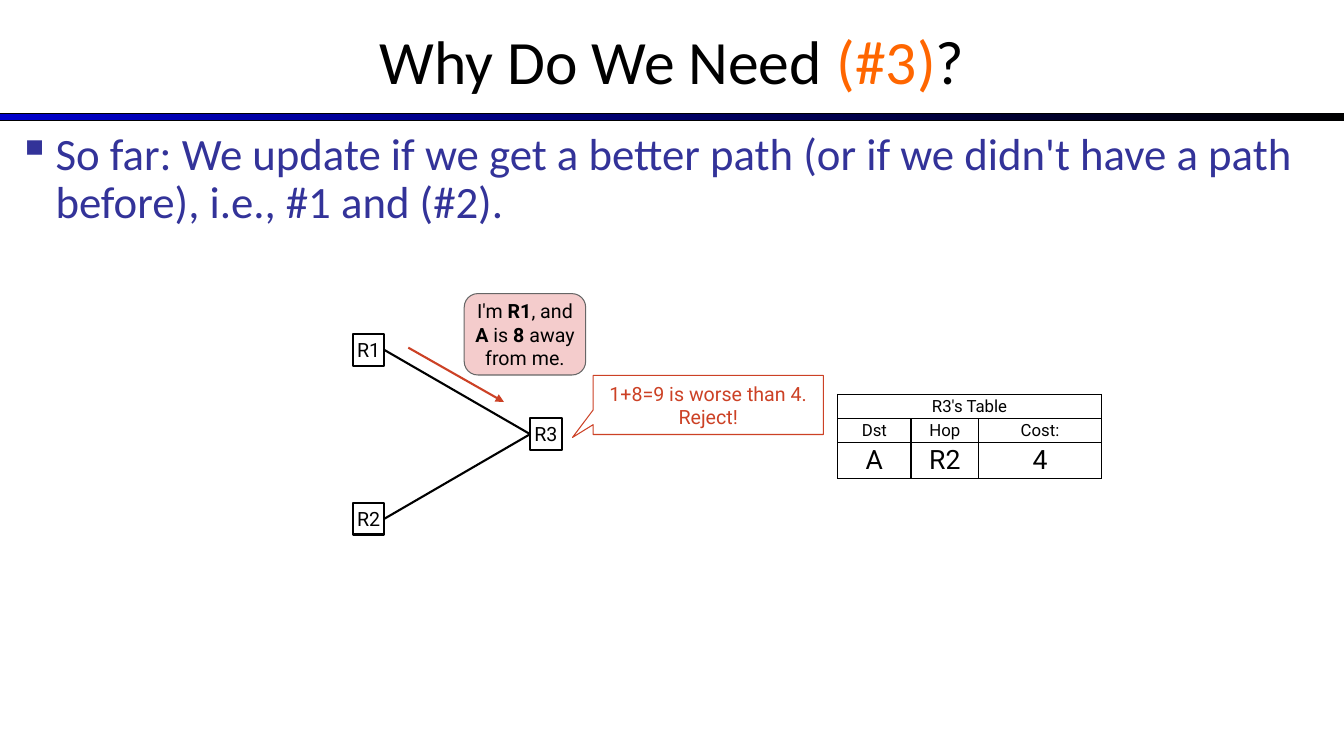
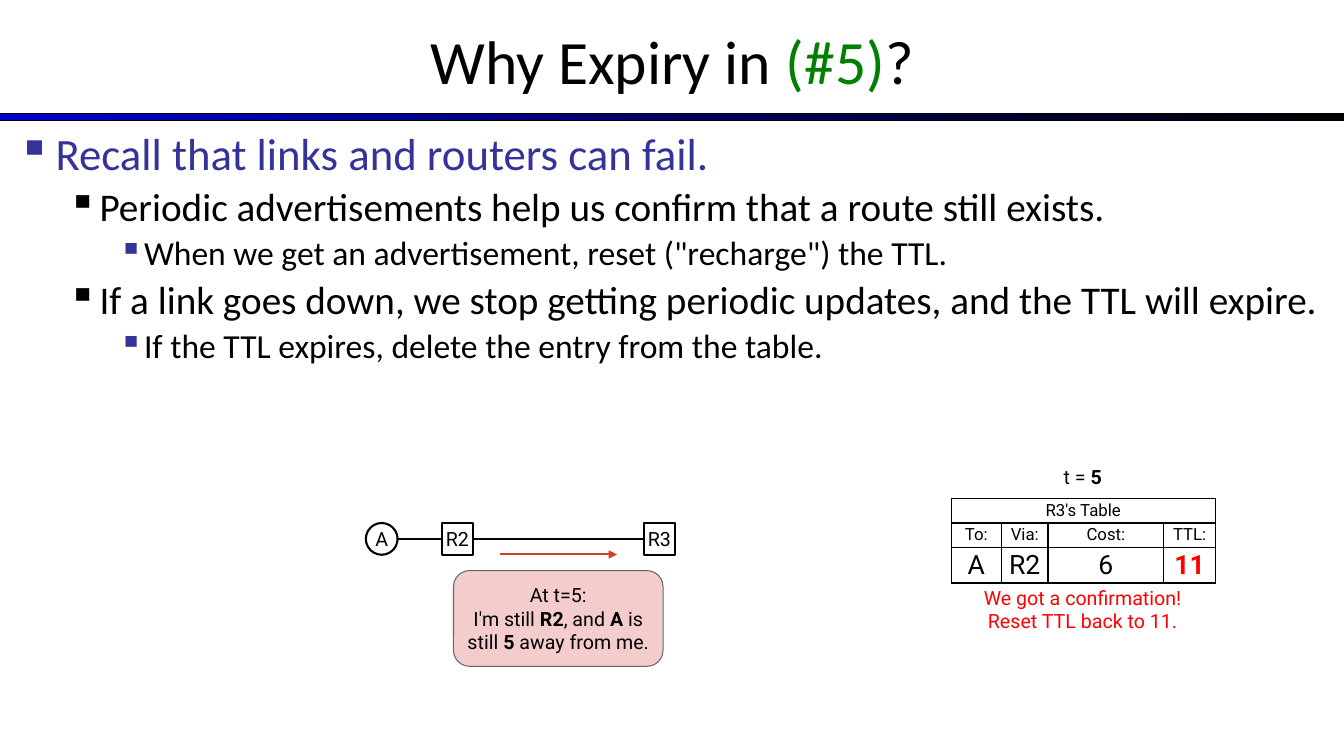
import pptx
import pptx.util
import pptx.dml.color
import pptx.enum.shapes
import pptx.enum.text
import pptx.oxml
import pptx.oxml.ns

Cm = pptx.util.Cm
Pt = pptx.util.Pt
Kind = pptx.enum.shapes.MSO_SHAPE
Anchor = pptx.enum.text.MSO_ANCHOR
Align = pptx.enum.text.PP_ALIGN
qn = pptx.oxml.ns.qn
space = pptx.oxml.ns.nsdecls("a")


class Theme:
    head = "Calibri"
    label = "Roboto"
    black = "000000"
    white = "FFFFFF"
    blue = "0000CC"
    navy = "333399"
    orange = "FF6600"
    green = "008000"
    red = "FF0000"
    rust = "CC4125"
    pink = "F4CCCC"
    gray = "666666"
    title = 44
    note = 14
    cell = 12
    entry = 19
    thin = 0.75
    thick = 1.5
    levels = [
        (32, navy, navy, 0.95, 0.95),
        (28, black, black, 2.06, 0.79),
        (24, black, navy, 3.18, 0.64),
    ]


def write(frame, text, size, color=Theme.black, font=Theme.label, bold=True, tint=None):
    for row, line in enumerate(text.split("\n")):
        para = frame.add_paragraph() if row else frame.paragraphs[0]
        para.alignment = Align.CENTER
        para.font.size = Pt(size)
        para.font.name = font
        para.font.color.rgb = pptx.dml.color.RGBColor.from_string(color)
        for part, words in enumerate(line.split("*")):
            if not words:
                continue
            run = para.add_run()
            run.text = words
            if part % 2:
                if bold:
                    run.font.bold = True
                if tint:
                    run.font.color.rgb = pptx.dml.color.RGBColor.from_string(tint)


def box(slide, kind, place, inset=(0, 0), fill=None, edge=None, width=Theme.thin):
    place = [Cm(n) for n in place]
    if kind is None:
        shape = slide.shapes.add_textbox(*place)
    else:
        shape = slide.shapes.add_shape(kind, *place)
        shape.shadow.inherit = False
        if fill:
            shape.fill.solid()
            shape.fill.fore_color.rgb = pptx.dml.color.RGBColor.from_string(fill)
        else:
            shape.fill.background()
        shape.line.color.rgb = pptx.dml.color.RGBColor.from_string(edge)
        shape.line.width = Pt(width)
    frame = shape.text_frame
    frame.word_wrap = True
    frame.vertical_anchor = Anchor.TOP if kind is None else Anchor.MIDDLE
    frame.margin_left = frame.margin_right = Cm(inset[0])
    frame.margin_top = frame.margin_bottom = Cm(inset[1])
    return shape


wide, high = 33.87, 19.05
side = 0.8
text_pad = (0.25, 0.13)
note_pad = (0.08, 0.08)
row_highs = [0.6, 0.6, 0.9]

pages = [
    {
        "title": "Why Do We Need *(#3)*?",
        "tint": Theme.orange,
        "depth": 14.76,
        "points": [
            (0, "So far: We update if we get a better path (or if we didn't have a path before), i.e., #1 and (#2)."),
        ],
        "nodes": {
            "R1": (Kind.RECTANGLE, 8.89, 8.42),
            "R2": (Kind.RECTANGLE, 8.89, 12.67),
            "R3": (Kind.RECTANGLE, 13.36, 10.54),
        },
        "links": [("R1", "R3"), ("R2", "R3")],
        "arrow": ((10.29, 8.76), (12.7, 10.13)),
        "table": {
            "spot": (21.11, 9.94),
            "cols": [1.85, 1.7, 3.1],
            "rows": [["Dst", "Hop", "Cost:"], ["A", "R2", "4"]],
        },
        "notes": [
            (Kind.ROUNDED_RECTANGLE, (11.7, 7.4, 3.06, 2.05), (0, 0), Theme.pink, Theme.gray, Theme.black,
             "I'm *R1*, and *A* is *8* away from me."),
            (Kind.ROUNDED_RECTANGULAR_CALLOUT, (14.95, 9.46, 5.8, 1.49), (0.25, 0.25), None, Theme.rust, Theme.rust,
             "1+8=9 is worse than 4.\nReject!"),
        ],
    },
    {
        "title": "Why Expiry in *(#5)*?",
        "tint": Theme.green,
        "depth": 6.55,
        "points": [
            (0, "Recall that links and routers can fail."),
            (1, "Periodic advertisements help us confirm that a route still exists."),
            (2, "When we get an advertisement, reset (\"recharge\") the TTL."),
            (1, "If a link goes down, we stop getting periodic updates, and the TTL will expire."),
            (2, "If the TTL expires, delete the entry from the table."),
        ],
        "nodes": {
            "A": (Kind.OVAL, 9.22, 13.18),
            "R2": (Kind.RECTANGLE, 11.13, 13.18),
            "R3": (Kind.RECTANGLE, 16.22, 13.18),
        },
        "links": [("A", "R2"), ("R2", "R3")],
        "arrow": ((12.6, 13.97), (15.55, 13.97)),
        "table": {
            "spot": (23.97, 12.57),
            "cols": [1.27, 1.17, 2.92, 1.3],
            "rows": [["To:", "Via:", "Cost:", "TTL:"], ["A", "R2", "6", "*11*"]],
        },
        "notes": [
            (None, (26.31, 11.63, 1.96, 0.76), note_pad, None, None, Theme.black, "t = *5*"),
            (None, (23.27, 14.68, 8.03, 1.35), note_pad, None, None, Theme.red,
             "We got a confirmation!\nReset TTL back to 11."),
            (Kind.ROUNDED_RECTANGLE, (11.43, 14.38, 5.28, 2.41), note_pad, Theme.pink, Theme.gray, Theme.black,
             "At t=5:\nI'm still *R2*, and *A* is still *5* away from me."),
        ],
    },
]

deck = pptx.Presentation()
deck.slide_width, deck.slide_height = Cm(wide), Cm(high)

for page in pages:
    slide = deck.slides.add_slide(deck.slide_layouts[6])

    band = box(slide, Kind.RECTANGLE, (0, 2.86, wide, 0.19), edge=Theme.black)
    band.fill.gradient()
    band.fill.gradient_angle = 0
    for stop, color in zip(band.fill.gradient_stops, [Theme.blue, Theme.black]):
        stop.color.rgb = pptx.dml.color.RGBColor.from_string(color)

    title = box(slide, None, (0, -0.08, wide, 3.18), text_pad).text_frame
    title.vertical_anchor = Anchor.MIDDLE
    write(title, page["title"], Theme.title, font=Theme.head, bold=False, tint=page["tint"])

    body = box(slide, None, (0.2, 3.18, 33.45, page["depth"]), text_pad).text_frame
    write(body, "\n".join(words for _, words in page["points"]), Theme.note, font=Theme.head)
    for para, (level, _) in zip(body.paragraphs, page["points"]):
        size, color, mark, left, hang = Theme.levels[level]
        para.level = level
        para.alignment = Align.LEFT
        para.line_spacing = 0.9
        para.space_before = Pt(size * 0.2)
        para.font.size = Pt(size)
        para.font.color.rgb = pptx.dml.color.RGBColor.from_string(color)
        props = para._p.get_or_add_pPr()
        props.set("marL", str(Cm(left)))
        props.set("indent", str(-Cm(hang)))
        for xml in (
            f'<a:buClr {space}><a:srgbClr val="{mark}"/></a:buClr>',
            f'<a:buChar {space} char="▪"/>',
        ):
            props.find(qn("a:defRPr")).addprevious(pptx.oxml.parse_xml(xml))

    nodes = page["nodes"]
    for name, (kind, left, top) in nodes.items():
        node = box(slide, kind, (left, top, side, side), fill=Theme.white, edge=Theme.black, width=Theme.thick)
        write(node.text_frame, name, Theme.note)

    lines = [(*page["arrow"], Theme.rust)]
    for start, end in page["links"]:
        _, left, top = nodes[start]
        _, right, low = nodes[end]
        lines.append(((left + side, top + side / 2), (right, low + side / 2), Theme.black))
    for start, end, color in lines:
        link = slide.shapes.add_connector(
            pptx.enum.shapes.MSO_CONNECTOR.STRAIGHT, *[Cm(n) for n in start + end])
        link.line.color.rgb = pptx.dml.color.RGBColor.from_string(color)
        link.line.width = Pt(Theme.thick)
        props = link.element.spPr
        if color == Theme.rust:
            props.find(qn("a:ln")).append(pptx.oxml.parse_xml(f'<a:tailEnd {space} type="triangle"/>'))
        props.append(pptx.oxml.parse_xml(f"<a:effectLst {space}/>"))

    spec = page["table"]
    cols = spec["cols"]
    place = (*spec["spot"], sum(cols), sum(row_highs))
    holder = slide.shapes.add_table(len(row_highs), len(cols), *[Cm(n) for n in place])
    table = holder.table
    table.first_row = table.horz_banding = False
    for col, width in zip(table.columns, cols):
        col.width = Cm(width)
    for row, height in zip(table.rows, row_highs):
        row.height = Cm(height)
    table.cell(0, 0).merge(table.cell(0, len(cols) - 1))
    grid = [["R3's Table"] + [""] * (len(cols) - 1)] + spec["rows"]
    for y, row in enumerate(grid):
        for x, words in enumerate(row):
            cell = table.cell(y, x)
            cell.fill.background()
            cell.vertical_anchor = Anchor.MIDDLE
            cell.margin_left = cell.margin_right = 0
            cell.margin_top = cell.margin_bottom = Cm(0.05)
            write(cell.text_frame, words, Theme.entry if y == 2 else Theme.cell, tint=Theme.red)
    for props in holder.element.iter(qn("a:tcPr")):
        for spot, edge in enumerate("LRTB"):
            props.insert(spot, pptx.oxml.parse_xml(
                f'<a:ln{edge} {space} w="{Pt(1)}"><a:solidFill>'
                f'<a:srgbClr val="{Theme.black}"/></a:solidFill></a:ln{edge}>'))

    for kind, place, inset, fill, edge, color, words in page["notes"]:
        note = box(slide, kind, place, inset, fill, edge)
        if kind == Kind.ROUNDED_RECTANGULAR_CALLOUT:
            for spot, value in enumerate([-0.59, 0.55, 0]):
                note.adjustments[spot] = value
        write(note.text_frame, words, Theme.note, color)

deck.save("out.pptx")
